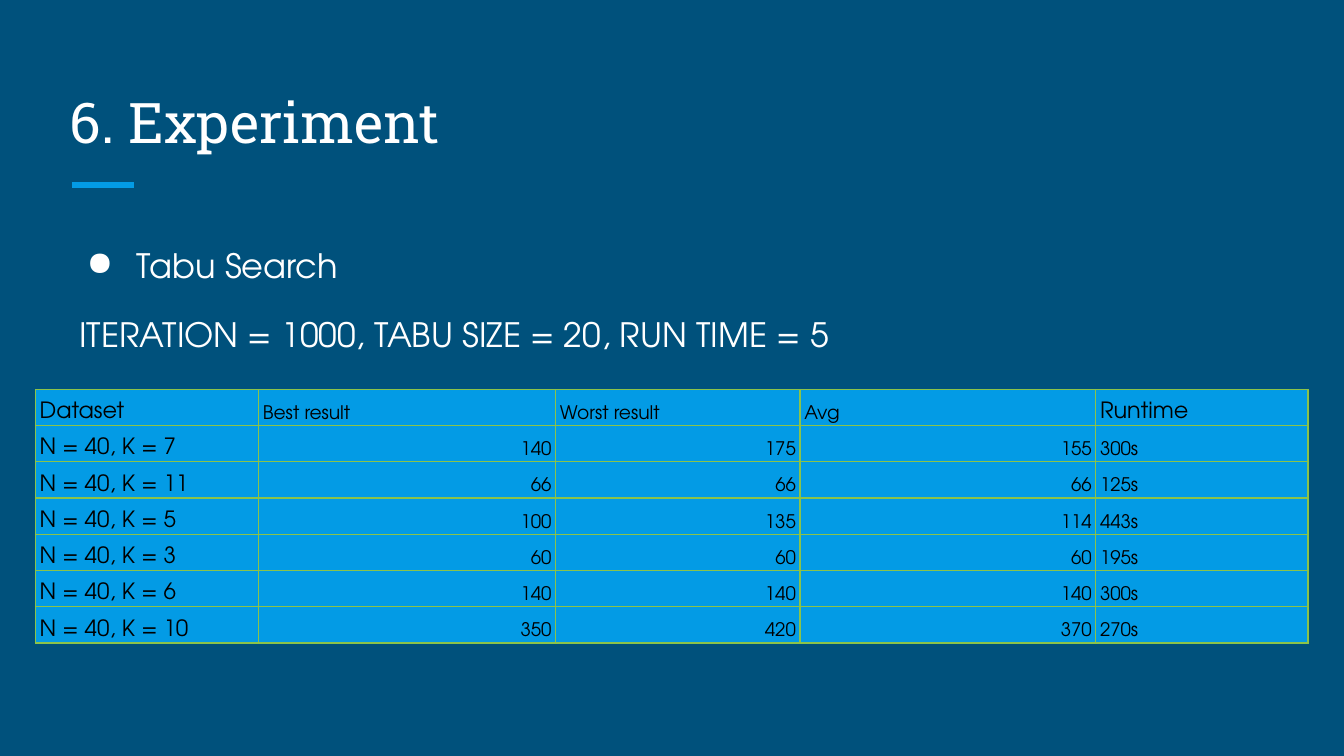
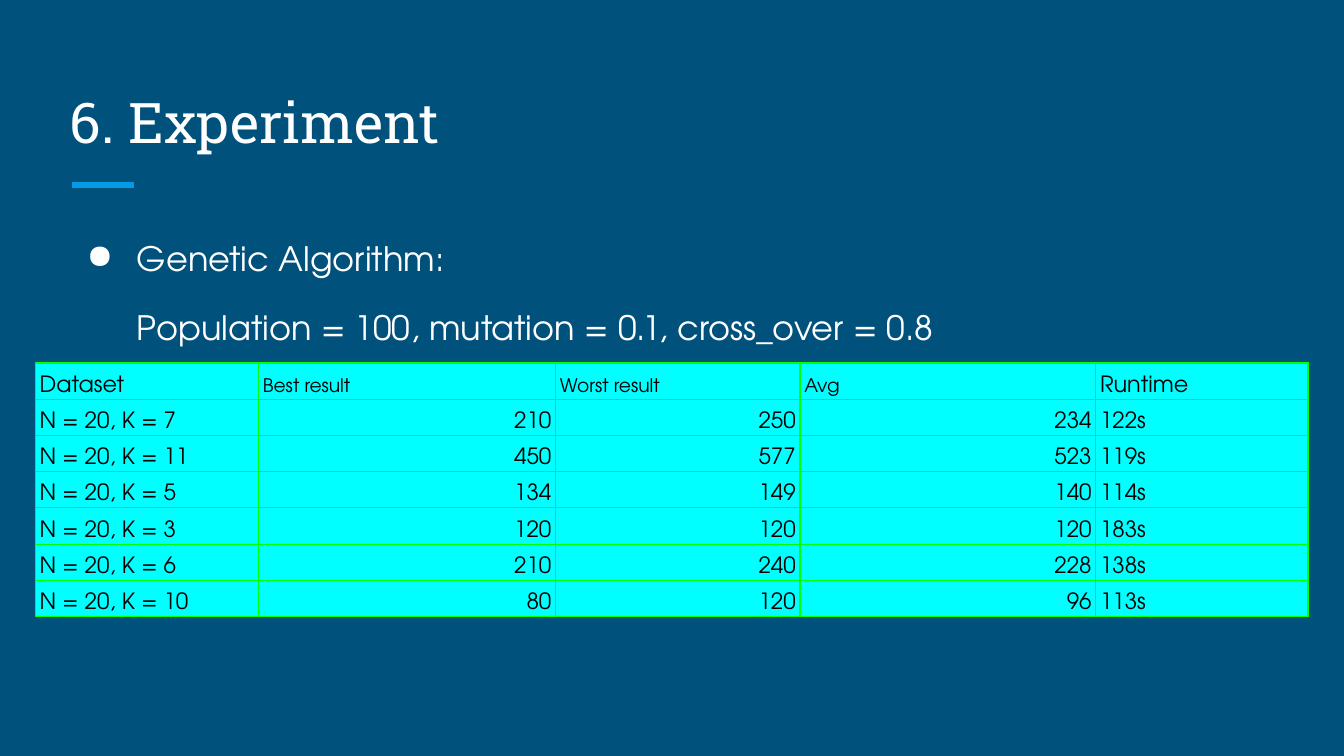
from dataclasses import dataclass

from lxml.etree import SubElement
from pptx import Presentation
from pptx.dml.color import RGBColor
from pptx.enum.shapes import MSO_CONNECTOR as Connector
from pptx.enum.text import MSO_ANCHOR as Anchor, MSO_AUTO_SIZE as AutoSize, PP_ALIGN as Align
from pptx.oxml.ns import qn
from pptx.slide import Slide
from pptx.util import Cm, Pt

COLORS = {
    "background": "00517C",
    "accent": "039BE5",
    "text": "FFFFFF",
    "cell_text": "000000",
    "olive": "8BC34A",
    "cyan": "00FFFF",
    "lime": "00FF00",
}
TITLE_FONT = "Roboto Slab"
BODY_FONT = "TeX Gyre Adventor"
LINE_SPACING = 1.15

CONTENT_LEFT, CONTENT_WIDTH = Cm(1.07), Cm(23.24)
TABLE_LEFT = Cm(0.67)
COLUMN_WIDTHS = [Cm(width) for width in (4.22, 5.61, 4.62, 5.59, 4.01)]
ROW_HEIGHT = Cm(0.61)
HEADERS = ("Dataset", "Best result", "Worst result", "Avg", "Runtime")
LABEL_SIZE, SMALL_SIZE = 12, 10
HEADER_SIZES = (LABEL_SIZE, SMALL_SIZE, SMALL_SIZE, SMALL_SIZE, LABEL_SIZE)
K_VALUES = (7, 11, 5, 3, 6, 10)


@dataclass(frozen=True)
class Experiment:
    method: str
    parameters: str
    parameter_indent: Cm
    body_top: Cm
    table_top: Cm
    fill: str
    border: str
    value_size: int
    n: int
    results: tuple[tuple[str, str, str, str], ...]


EXPERIMENTS = (
    Experiment(
        "Tabu Search", "ITERATION = 1000, TABU SIZE = 20, RUN TIME = 5",
        Cm(0.18), Cm(4.27), Cm(7.36), "accent", "olive", SMALL_SIZE, 40,
        (
            ("140", "175", "155", "300s"),
            ("66", "66", "66", "125s"),
            ("100", "135", "114", "443s"),
            ("60", "60", "60", "195s"),
            ("140", "140", "140", "300s"),
            ("350", "420", "370", "270s"),
        ),
    ),
    Experiment(
        "Genetic Algorithm:", "Population = 100, mutation = 0.1, cross_over = 0.8",
        Cm(1.27), Cm(4.14), Cm(6.86), "cyan", "lime", LABEL_SIZE, 20,
        (
            ("210", "250", "234", "122s"),
            ("450", "577", "523", "119s"),
            ("134", "149", "140", "114s"),
            ("120", "120", "120", "183s"),
            ("210", "240", "228", "138s"),
            ("80", "120", "96", "113s"),
        ),
    ),
)


def rgb(name: str) -> RGBColor:
    return RGBColor.from_string(COLORS[name])


def add_run(paragraph, text: str, size: int, color: str, font: str = BODY_FONT) -> None:
    run = paragraph.add_run()
    run.text = text
    run.font.size = Pt(size)
    run.font.name = font
    run.font.color.rgb = rgb(color)


def set_margins(frame, horizontal: Cm, vertical: Cm) -> None:
    """Set the insets of a text frame or a table cell."""
    frame.margin_left = frame.margin_right = horizontal
    frame.margin_top = frame.margin_bottom = vertical


def indent(paragraph, left: Cm, first_line: Cm = Cm(0)) -> None:
    properties = paragraph._p.get_or_add_pPr()
    properties.set("marL", str(int(left)))
    properties.set("indent", str(int(first_line)))


def add_bullet(paragraph, color: str) -> None:
    properties = paragraph._p.get_or_add_pPr()
    bullet_color = SubElement(properties, qn("a:buClr"))
    SubElement(bullet_color, qn("a:srgbClr"), val=COLORS[color])
    SubElement(properties, qn("a:buChar"), char="●")


def set_borders(cell, color: str) -> None:
    properties = cell._tc.get_or_add_tcPr()
    for position, side in enumerate(("a:lnL", "a:lnR", "a:lnT", "a:lnB")):
        line = SubElement(properties, qn(side), w=str(int(Pt(0.75))))
        fill = SubElement(line, qn("a:solidFill"))
        SubElement(fill, qn("a:srgbClr"), val=COLORS[color])
        properties.insert(position, line)


def add_heading(slide: Slide, text: str) -> None:
    """Fill the title placeholder and draw the short rule under it."""
    title = slide.shapes.title
    title.left, title.top, title.width, title.height = (
        CONTENT_LEFT, Cm(1.27), CONTENT_WIDTH, Cm(1.9))
    frame = title.text_frame
    frame.auto_size = AutoSize.NONE
    frame.word_wrap = True
    frame.vertical_anchor = Anchor.BOTTOM
    set_margins(frame, Cm(0.25), Cm(0.25))
    paragraph = frame.paragraphs[0]
    paragraph.alignment = Align.LEFT
    add_run(paragraph, text, 30, "text", TITLE_FONT)

    rule = slide.shapes.add_connector(
        Connector.STRAIGHT, Cm(1.36), Cm(3.5), Cm(2.54), Cm(3.5))
    rule.line.color.rgb = rgb("accent")
    rule.line.width = Pt(3)
    SubElement(rule._element.spPr, qn("a:effectLst"))


def add_body(slide: Slide, experiment: Experiment) -> None:
    box = slide.shapes.add_textbox(
        CONTENT_LEFT, experiment.body_top, CONTENT_WIDTH, Cm(8.56))
    frame = box.text_frame
    frame.word_wrap = True
    set_margins(frame, Cm(0.25), Cm(0.25))

    method = frame.paragraphs[0]
    method.line_spacing = LINE_SPACING
    indent(method, Cm(1.27), Cm(-0.95))
    add_bullet(method, "text")
    add_run(method, experiment.method, 18, "text")

    parameters = frame.add_paragraph()
    parameters.line_spacing = LINE_SPACING
    parameters.space_before = Pt(12)
    indent(parameters, experiment.parameter_indent)
    add_run(parameters, experiment.parameters, 18, "text")


def fill_cell(cell, text: str, size: int, alignment: Align, experiment: Experiment) -> None:
    cell.fill.solid()
    cell.fill.fore_color.rgb = rgb(experiment.fill)
    set_borders(cell, experiment.border)
    set_margins(cell, Cm(0.08), Cm(0.05))
    cell.vertical_anchor = Anchor.BOTTOM
    paragraph = cell.text_frame.paragraphs[0]
    paragraph.alignment = alignment
    paragraph.line_spacing = LINE_SPACING
    add_run(paragraph, text, size, "cell_text")


def add_results(slide: Slide, experiment: Experiment) -> None:
    rows = [HEADERS] + [
        (f"N = {experiment.n}, K = {k}", *values)
        for k, values in zip(K_VALUES, experiment.results)
    ]
    table = slide.shapes.add_table(
        len(rows), len(HEADERS), TABLE_LEFT, experiment.table_top,
        sum(COLUMN_WIDTHS), ROW_HEIGHT * len(rows)).table
    table.first_row = table.horz_banding = False
    for column, width in zip(table.columns, COLUMN_WIDTHS):
        column.width = width

    value_sizes = (LABEL_SIZE,) + (experiment.value_size,) * (len(HEADERS) - 1)
    last_column = len(HEADERS) - 1
    for row_index, row in enumerate(rows):
        sizes = value_sizes if row_index else HEADER_SIZES
        for column_index, (text, size) in enumerate(zip(row, sizes)):
            is_number = row_index > 0 and 0 < column_index < last_column
            fill_cell(table.cell(row_index, column_index), text, size,
                      Align.RIGHT if is_number else Align.LEFT, experiment)


def main() -> None:
    presentation = Presentation()
    presentation.slide_width, presentation.slide_height = Cm(25.4), Cm(14.29)
    background = presentation.slide_master.background.fill
    background.solid()
    background.fore_color.rgb = rgb("background")
    title_only = presentation.slide_layouts.get_by_name("Title Only")

    for experiment in EXPERIMENTS:
        slide = presentation.slides.add_slide(title_only)
        add_heading(slide, "6. Experiment")
        add_body(slide, experiment)
        add_results(slide, experiment)
    presentation.save("out.pptx")


if __name__ == "__main__":
    main()
